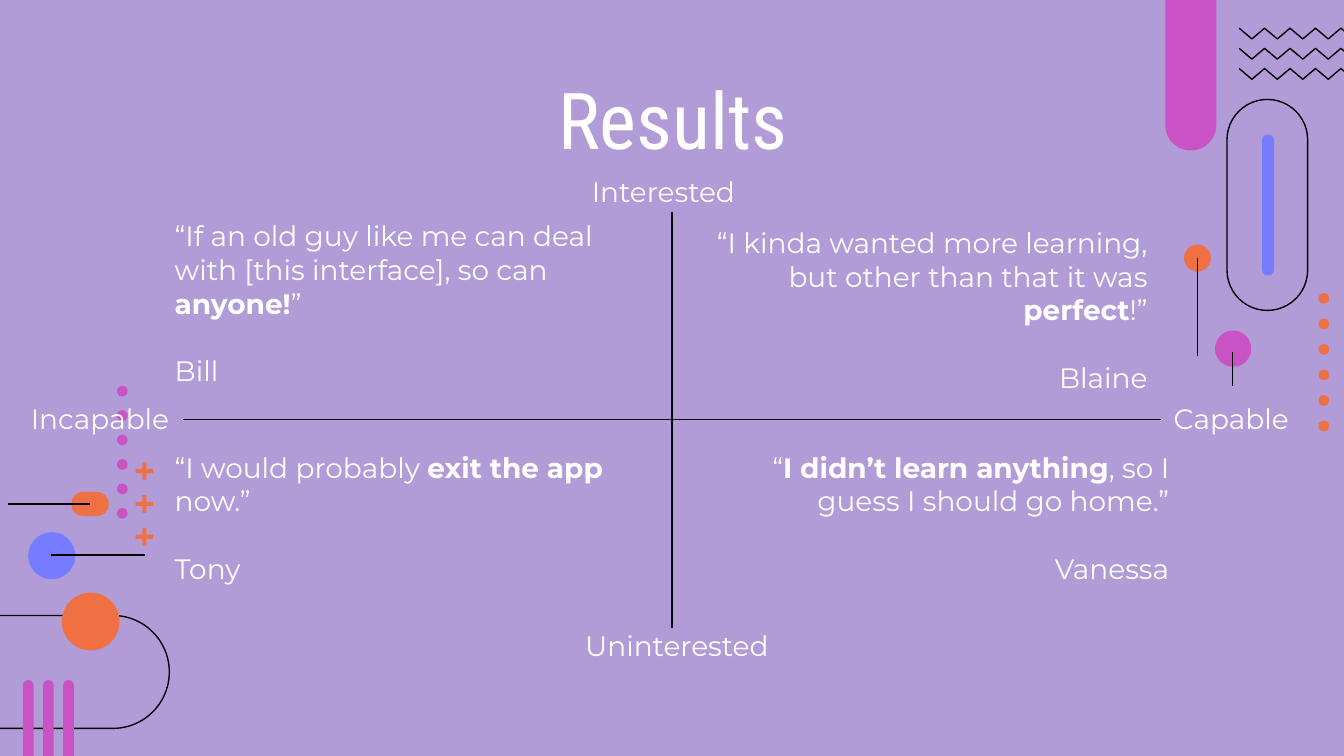
"""Build the Results slide: four quotes around two axes, with decorations."""
from lxml.etree import SubElement
from pptx import Presentation
from pptx.dml.color import RGBColor
from pptx.enum.shapes import MSO_CONNECTOR as Connector, MSO_SHAPE as Shape
from pptx.enum.text import MSO_ANCHOR as Anchor, MSO_AUTO_SIZE as AutoSize, PP_ALIGN as Align
from pptx.oxml.ns import qn
from pptx.util import Inches, Pt

LILAC = RGBColor(0xB1, 0x9C, 0xD7)
MAGENTA = RGBColor(0xC9, 0x52, 0xC5)
ORANGE = RGBColor(0xEE, 0x70, 0x43)
BLUE = RGBColor(0x75, 0x7C, 0xFF)
BLACK = RGBColor(0, 0, 0)
WHITE = RGBColor(255, 255, 255)
LINE_WIDTH = Pt(0.75)

QUOTES = [
    (1.3, 1.53, 3.45, 1.36, Align.LEFT, "Bill",
     "“If an old guy like me can deal with [this interface], so can *anyone!*”"),
    (1.3, 3.25, 3.38, 1.48, Align.LEFT, "Tony",
     "“I would probably *exit the app* now.”"),
    (5.16, 3.25, 3.54, 1.48, Align.RIGHT, "Vanessa",
     "“*I didn’t learn anything*, so I guess I should go home.”"),
    (5.28, 1.58, 3.26, 1.36, Align.RIGHT, "Blaine",
     "“I kinda wanted more learning, but other than that it was *perfect*!”"),
]
AXIS_LABELS = [
    (4.03, 1.2, 1.44, "Interested"),
    (4.28, 4.58, 1.44, "Uninterested"),
    (0.11, 2.89, 1.15, "Incapable"),
    (8.44, 2.89, 1.15, "Capable"),
]


def write_text(frame, *texts, size=15, font="Montserrat", align=Align.LEFT,
               anchor=Anchor.TOP, gap=0):
    """Write one paragraph per text; words between asterisks are bold."""
    frame.word_wrap = True
    frame.auto_size = AutoSize.NONE
    frame.vertical_anchor = anchor
    frame.margin_left = frame.margin_right = 0
    frame.margin_top = frame.margin_bottom = Inches(0.1)
    for index, text in enumerate(texts):
        paragraph = frame.add_paragraph() if index else frame.paragraphs[0]
        paragraph.alignment = align
        paragraph.space_before = Pt(gap if index else 0)
        for part, words in enumerate(text.split("*")):
            run = paragraph.add_run()
            run.text = words
            run.font.name = font
            run.font.size = Pt(size)
            run.font.bold = part % 2 == 1
            run.font.color.rgb = WHITE


def add_text_box(slide, left, top, width, height, *texts, **text_format):
    """Add a text box holding the given paragraphs."""
    box = slide.shapes.add_textbox(Inches(left), Inches(top), Inches(width), Inches(height))
    write_text(box.text_frame, *texts, **text_format)


def outline(shape):
    """Give a shape a thin black line and no fill."""
    shape.shadow.inherit = False
    shape.fill.background()
    shape.line.color.rgb = BLACK
    shape.line.width = LINE_WIDTH


def add_figure(slide, kind, left, top, width, height, color=None, adjustments=()):
    """Add a preset shape, filled with a colour or else outlined."""
    shape = slide.shapes.add_shape(
        kind, Inches(left), Inches(top), Inches(width), Inches(height))
    for index, value in enumerate(adjustments):
        shape.adjustments[index] = value
    outline(shape)
    if color is not None:
        shape.fill.solid()
        shape.fill.fore_color.rgb = color
        shape.line.fill.background()


def add_circle(slide, left, top, diameter, color):
    """Add a filled circle."""
    add_figure(slide, Shape.OVAL, left, top, diameter, diameter, color)


def add_capsule(slide, left, top, width, height, color=None):
    """Add a rectangle with fully rounded ends."""
    add_figure(slide, Shape.ROUNDED_RECTANGLE, left, top, width, height, color, [0.5])


def add_line(slide, *ends):
    """Add a thin black straight line."""
    line = slide.shapes.add_connector(Connector.STRAIGHT, *map(Inches, ends))
    line.line.color.rgb = BLACK
    line.line.width = LINE_WIDTH
    SubElement(line._element.spPr, qn("a:effectLst"))


def add_zigzag(slide, left, top, width=1.42, height=0.08, segments=15):
    """Add an open zigzag line."""
    points = [(Inches(left + width * index / segments), Inches(top + height * (index % 2)))
              for index in range(segments + 1)]
    builder = slide.shapes.build_freeform(*points[0])
    builder.add_line_segments(points[1:], close=False)
    outline(builder.convert_to_shape())


def decorate_left(slide):
    """Draw the decorations of the lower left corner."""
    add_capsule(slide, -0.92, 4.58, 2.18, 0.84)
    for row in range(6):
        add_circle(slide, 0.87, 2.87 + 0.91 / 5 * row, 0.08, MAGENTA)
    add_circle(slide, 0.46, 4.41, 0.43, ORANGE)
    for column in range(3):
        add_capsule(slide, 0.17 + 0.15 * column, 5.06, 0.08, 0.89, MAGENTA)
    for row in range(3):
        add_figure(slide, Shape.CROSS, 1.01, 3.44 + 0.49 / 2 * row, 0.13, 0.13, ORANGE, [0.38])
    add_capsule(slide, 0.53, 3.66, 0.28, 0.18, ORANGE)
    add_circle(slide, 0.21, 3.96, 0.35, BLUE)
    add_line(slide, 0.38, 4.13, 1.08, 4.13)
    add_line(slide, 0.06, 3.75, 0.67, 3.75)


def decorate_right(slide):
    """Draw the decorations of the upper right corner."""
    add_figure(slide, Shape.ROUND_2_SAME_RECTANGLE, 8.67, -0.08, 0.38, 1.2, MAGENTA, [0, 0.5])
    for row in range(6):
        add_circle(slide, 9.81, 2.18 + 0.19 * row, 0.08, ORANGE)
    add_circle(slide, 8.81, 1.82, 0.2, ORANGE)
    add_line(slide, 8.91, 1.92, 8.91, 2.65)
    add_circle(slide, 9.04, 2.46, 0.27, MAGENTA)
    add_line(slide, 9.17, 2.62, 9.17, 2.87)
    for row in range(3):
        add_zigzag(slide, 9.22, 0.21 + 0.15 * row)
    add_capsule(slide, 9.13, 0.74, 0.6, 1.57)
    add_capsule(slide, 9.39, 1, 0.09, 1.05, BLUE)


def add_title(slide, text):
    """Place and format the title."""
    title = slide.shapes.title
    title.left, title.top, title.width, title.height = map(Inches, (0.79, 0.59, 8.43, 0.58))
    write_text(title.text_frame, text, size=42, font="Roboto Condensed",
               align=Align.CENTER, anchor=Anchor.MIDDLE)


def main():
    """Build and save the presentation."""
    presentation = Presentation()
    presentation.slide_width = Inches(10)
    presentation.slide_height = Inches(5.625)
    slide = presentation.slides.add_slide(presentation.slide_layouts[5])
    slide.background.fill.solid()
    slide.background.fill.fore_color.rgb = LILAC
    decorate_left(slide)
    decorate_right(slide)
    add_line(slide, 5, 1.58, 5, 4.67)
    add_line(slide, 1.36, 3.12, 8.64, 3.12)
    add_title(slide, "Results")
    for left, top, width, height, align, speaker, quote in QUOTES:
        add_text_box(slide, left, top, width, height, quote, speaker, align=align, gap=18)
    for left, top, width, label in AXIS_LABELS:
        add_text_box(slide, left, top, width, 0.34, label, align=Align.RIGHT)
    presentation.save("out.pptx")


if __name__ == "__main__":
    main()
